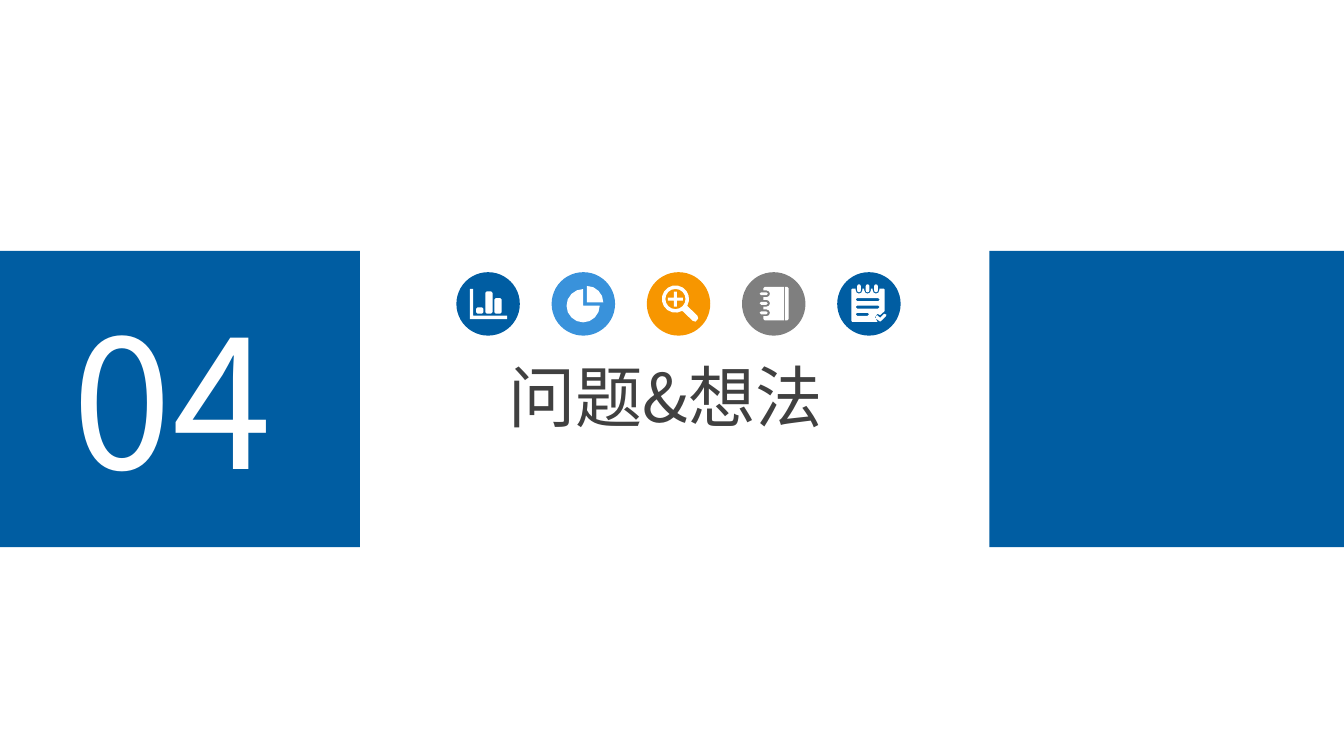
import math

import pptx
import pptx.dml.color
import pptx.enum.shapes
import pptx.oxml.ns
import pptx.util
from lxml import etree

FONT = "Noto Sans CJK SC"
BLUE, SKY, ORANGE, GREY = "005DA2", "3992DB", "F79600", "7F7F7F"
WHITE, DARK = "FFFFFF", "404040"
Pt = pptx.util.Pt
SHAPES = pptx.enum.shapes.MSO_SHAPE


def color(code):
    """Turn a hex string into a colour."""
    return pptx.dml.color.RGBColor.from_string(code)


def paint(shape, fill):
    """Give a shape a flat fill without line or shadow."""
    shape.shadow.inherit = False
    shape.fill.solid()
    shape.fill.fore_color.rgb = color(fill)
    shape.line.fill.background()


def add_block(parent, preset, left, top, width, height, fill):
    """Add a filled preset shape to a page or group."""
    block = parent.shapes.add_shape(preset, Pt(left), Pt(top), Pt(width), Pt(height))
    paint(block, fill)


def add_text(page, left, top, width, height, text, size, ink):
    """Add a text box with one run."""
    box = page.shapes.add_textbox(Pt(left), Pt(top), Pt(width), Pt(height))
    box.text_frame.word_wrap = True
    para = box.text_frame.paragraphs[0]
    span = para.add_run()
    span.text = text
    span.font.size = Pt(size)
    span.font.name = FONT
    span.font.color.rgb = color(ink)
    east = etree.SubElement(span.font._element, pptx.oxml.ns.qn("a:ea"))
    east.set("typeface", FONT)


def arc(x, y, radius, start, end):
    """List points along an arc, with angles in degrees clockwise from the right."""
    step = 90 if radius < 1 else 45 if radius < 3 else 22.5
    count = math.ceil(abs(end - start) / step)
    angles = [math.radians(start + (end - start) * i / count) for i in range(count + 1)]
    return [(x + radius * math.cos(a), y + radius * math.sin(a)) for a in angles]


def rounded(left, top, width, height, radius):
    """List the outline points of a rounded rectangle."""
    right, bottom = left + width - radius, top + height - radius
    left, top = left + radius, top + radius
    return (arc(right, bottom, radius, 0, 90) + arc(left, bottom, radius, 90, 180)
            + arc(left, top, radius, 180, 270) + arc(right, top, radius, 270, 360))


def bar_chart():
    """Outline an axis with three bars."""
    axis = [(7.3, 9), (9, 9), (9, 23.3), (27.2, 23.3), (27.2, 25.2), (7.3, 25.2)]
    bars = [(10.6, 18.9), (15.5, 10.3), (20.4, 13.9)]
    return [axis] + [rounded(x, y, 3.9, 22.3 - y, 0.8) for x, y in bars]


def pie_chart():
    """Outline a pie with one quarter pulled out."""
    return [[(18.9, 16.2)] + arc(18.9, 16.2, 8.8, 270, 360),
            [(16.9, 18)] + arc(16.9, 18, 8.9, 0, 270)]


def magnifier():
    """Outline a magnifier with a plus sign in its lens."""
    x, y, reach, half = 15.4, 14.4, 4, 0.8
    handle = [(27.2, 23.4), (27.6, 24.8), (26.2, 26.5), (24.7, 26.1)]
    corners = [(half, reach), (half, half), (reach, half)]
    plus = []
    for sx, sy in [(1, 1), (1, -1), (-1, -1), (-1, 1)]:
        order = corners if sx == sy else corners[::-1]
        plus += [(x + sx * dx, y + sy * dy) for dx, dy in order]
    return [arc(x, y, 7.3, 60, 390) + handle, arc(x, y, 5.4, 0, 337.5), plus]


def notebook():
    """Outline a ring-bound notebook."""
    rings = [21.8, 16.7, 11.6]
    cover = [(22.5, 7.9), (22.5, 25.9), (12.2, 25.9), (11.5, 25.2)]
    for y in rings:
        cover += [(11.5, y + 1.8)] + arc(13.2, y, 1.8, 90, -90) + [(11.5, y - 1.8)]
    cover += [(11.5, 8.6), (12.2, 7.9)]
    spine = [(23.1, 7.9), (24.2, 7.9), (24.9, 8.6),
             (24.9, 25.2), (24.2, 25.9), (23.1, 25.9)]
    return [cover, spine] + [rounded(9.4, y - 0.8, 4.4, 1.6, 0.8) for y in rings]


def notepad():
    """Outline a written notepad with a check mark."""
    rings = [11.7, 16.3, 20.8]
    sheet = [(7.6, 9.3), (8.1, 8.8)]
    for x in rings:
        sheet += [(x - 1.8, 8.8)] + arc(x, 9.7, 1.8, 180, 0) + [(x + 1.8, 8.8)]
    sheet += [(24.9, 8.8), (25.4, 9.3), (25.4, 20.9), (23, 23), (21.6, 22.3),
              (20.2, 24.1), (21.6, 26.6), (8.1, 26.6), (7.6, 26.1)]
    check = [(26, 23.8), (23.8, 25.9), (23, 26.5), (22.3, 26), (20.7, 24.8),
             (20.7, 23.8), (21.6, 23.1), (23, 24.5), (25.2, 22.3), (26.4, 22.8)]
    lines = [(13.9, 12.7), (17.9, 12.7), (21.8, 7)]
    return ([sheet, check] + [rounded(x - 1, 6.5, 2, 4.3, 1) for x in rings]
            + [rounded(10, y, width, 1.6, 0.7) for y, width in lines])


def add_icon(page, left, top, fill, outlines):
    """Add a round badge with a white symbol; outlines are relative to the badge."""
    badge = page.shapes.add_group_shape()
    add_block(badge, SHAPES.OVAL, left, top, 34, 34, fill)
    grid = [[(x * 100, y * 100) for x, y in outline] for outline in outlines]
    builder = badge.shapes.build_freeform(*grid[0][0], scale=Pt(0.01))
    builder.add_line_segments(grid[0][1:], close=True)
    for outline in grid[1:]:
        builder.move_to(*outline[0])
        builder.add_line_segments(outline[1:], close=True)
    paint(builder.convert_to_shape(Pt(left), Pt(top)), WHITE)


def main():
    """Build the section slide."""
    deck = pptx.Presentation()
    deck.slide_width, deck.slide_height = Pt(720), Pt(405)
    page = deck.slides.add_slide(deck.slide_layouts[6])
    for left in (0, 530):
        add_block(page, SHAPES.RECTANGLE, left, 134.4, 192.8, 158.8, BLUE)
    add_text(page, 32, 152, 128.2, 124, "04", 96, WHITE)
    add_text(page, 265.3, 187, 191.5, 51, "问题&想法", 36, DARK)
    icons = [(BLUE, bar_chart), (SKY, pie_chart), (ORANGE, magnifier),
             (GREY, notebook), (BLUE, notepad)]
    for index, (fill, symbol) in enumerate(icons):
        add_icon(page, 244.5 + 51 * index, 145.8, fill, symbol())
    deck.save("out.pptx")


main()
